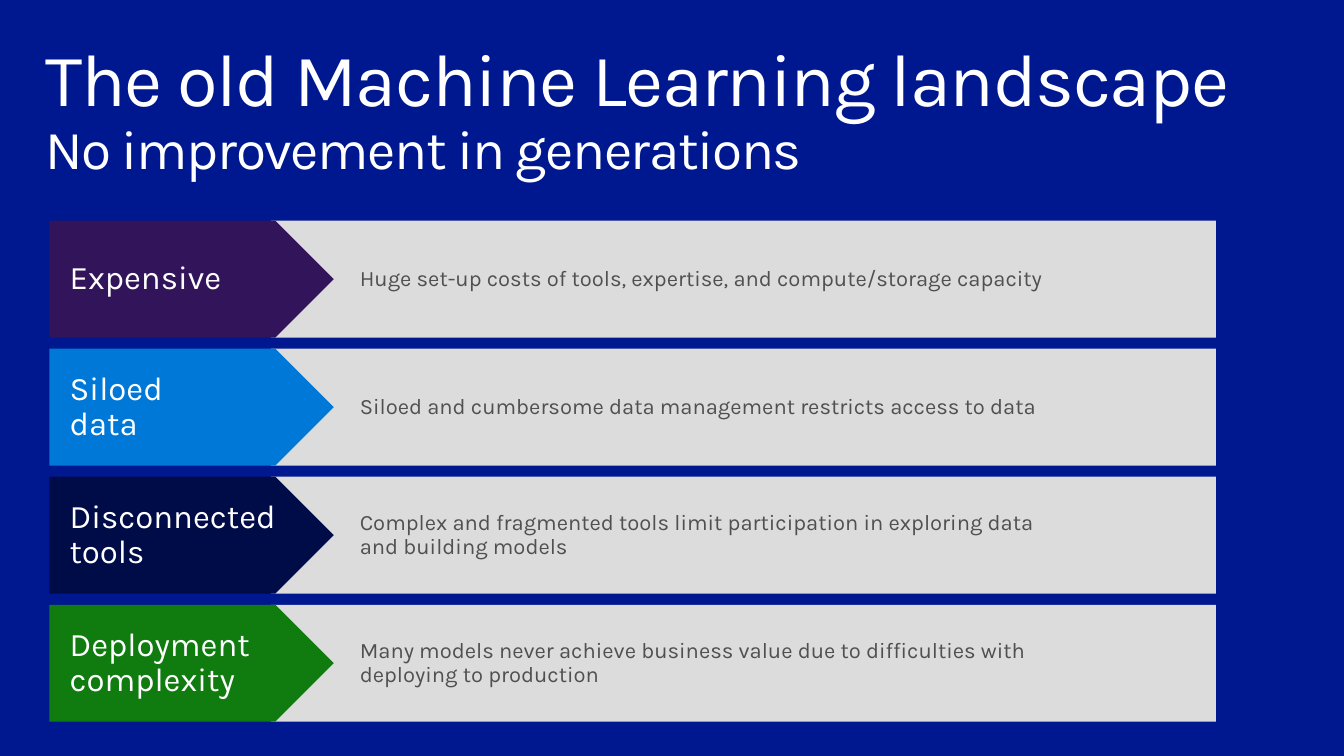
from dataclasses import dataclass

from pptx import Presentation
from pptx.dml.color import RGBColor
from pptx.enum.shapes import MSO_SHAPE
from pptx.enum.text import MSO_ANCHOR, PP_ALIGN
from pptx.shapes.autoshape import Shape
from pptx.shapes.group import GroupShape
from pptx.util import Inches, Pt

COLORS = {
    "background": "00188F",
    "white": "FFFFFF",
    "panel": "DCDCDC",
    "body": "505050",
    "purple": "32145A",
    "blue": "0078D7",
    "navy": "000C48",
    "green": "107C10",
}
FONT = "Karla"
ROW_TOP, ROW_PITCH, ROW_HEIGHT = 2.19, 1.27, 1.16


@dataclass
class Line:
    text: str
    size: float
    color: str
    spacing: int = 0


@dataclass
class Problem:
    label: str
    detail: str
    color: str


PROBLEMS = [
    Problem("Expensive",
            "Huge set-up costs of tools, expertise, and compute/storage capacity",
            "purple"),
    Problem("Siloed \ndata",
            "Siloed and cumbersome data management restricts access to data",
            "blue"),
    Problem("Disconnected tools",
            "Complex and fragmented tools limit participation in exploring data \n"
            "and building models",
            "navy"),
    Problem("Deployment complexity",
            "Many models never achieve business value due to difficulties with \n"
            "deploying to production",
            "green"),
]


def rgb(name: str) -> RGBColor:
    return RGBColor.from_string(COLORS[name])


def write_text(box: Shape, lines: list[Line], anchor: MSO_ANCHOR,
               inset_x: float, inset_y: float, indent: float = 0) -> None:
    """Write lines as one paragraph with line breaks."""
    frame_format = {
        "word_wrap": True,
        "vertical_anchor": anchor,
        "margin_left": Inches(inset_x),
        "margin_right": Inches(inset_x),
        "margin_top": Inches(inset_y),
        "margin_bottom": Inches(inset_y),
    }
    for name, value in frame_format.items():
        setattr(box.text_frame, name, value)
    para = box.text_frame.paragraphs[0]
    para.alignment = PP_ALIGN.LEFT
    para.line_spacing = 0.9
    if indent:
        properties = para._p.get_or_add_pPr()
        properties.set("marL", str(Inches(indent)))
        properties.set("indent", "0")
    for index, line in enumerate(lines):
        if index:
            para.add_line_break()
        span = para.add_run()
        span.text = line.text
        for name, value in {"name": FONT, "size": Pt(line.size)}.items():
            setattr(span.font, name, value)
        span.font.color.rgb = rgb(line.color)
        if line.spacing:
            span._r.get_or_add_rPr().set("spc", str(line.spacing))


def split_lines(text: str, size: float, color: str) -> list[Line]:
    return [Line(part, size, color) for part in text.split("\n")]


def add_block(group: GroupShape, kind: MSO_SHAPE, left: float, top: float,
              width: float, fill: str) -> Shape:
    block = group.shapes.add_shape(kind, Inches(left), Inches(top),
                                   Inches(width), Inches(ROW_HEIGHT))
    block.shadow.inherit = False
    block.fill.solid()
    block.fill.fore_color.rgb = rgb(fill)
    block.line.fill.background()
    return block


def add_problem(group: GroupShape, problem: Problem, top: float) -> None:
    panel = add_block(group, MSO_SHAPE.RECTANGLE, 2.69, top, 9.37, "panel")
    write_text(panel, split_lines(problem.detail, 15.7, "body"),
               MSO_ANCHOR.MIDDLE, 0.1, 0.05, indent=0.78)
    arrow = add_block(group, MSO_SHAPE.PENTAGON, 0.49, top, 2.82, problem.color)
    write_text(arrow, split_lines(problem.label, 23.5, "white"),
               MSO_ANCHOR.MIDDLE, 0.2, 0.16)


def main() -> None:
    deck = Presentation()
    deck.slide_width, deck.slide_height = Inches(13.33), Inches(7.5)
    page = deck.slides.add_slide(deck.slide_layouts[6])
    page.background.fill.solid()
    page.background.fill.fore_color.rgb = rgb("background")

    # Title and subtitle
    title = page.shapes.add_textbox(Inches(0.29), Inches(0.32),
                                    Inches(12.75), Inches(0.98))
    write_text(title, [
        Line("The old Machine Learning landscape ", 52.9, "white", -100),
        Line("No improvement in generations", 39.2, "white", -100),
    ], MSO_ANCHOR.TOP, 0.16, 0.1)

    # One grouped arrow and panel per problem
    for row, problem in enumerate(PROBLEMS):
        group = page.shapes.add_group_shape()
        add_problem(group, problem, ROW_TOP + row * ROW_PITCH)

    deck.save("out.pptx")


if __name__ == "__main__":
    main()
